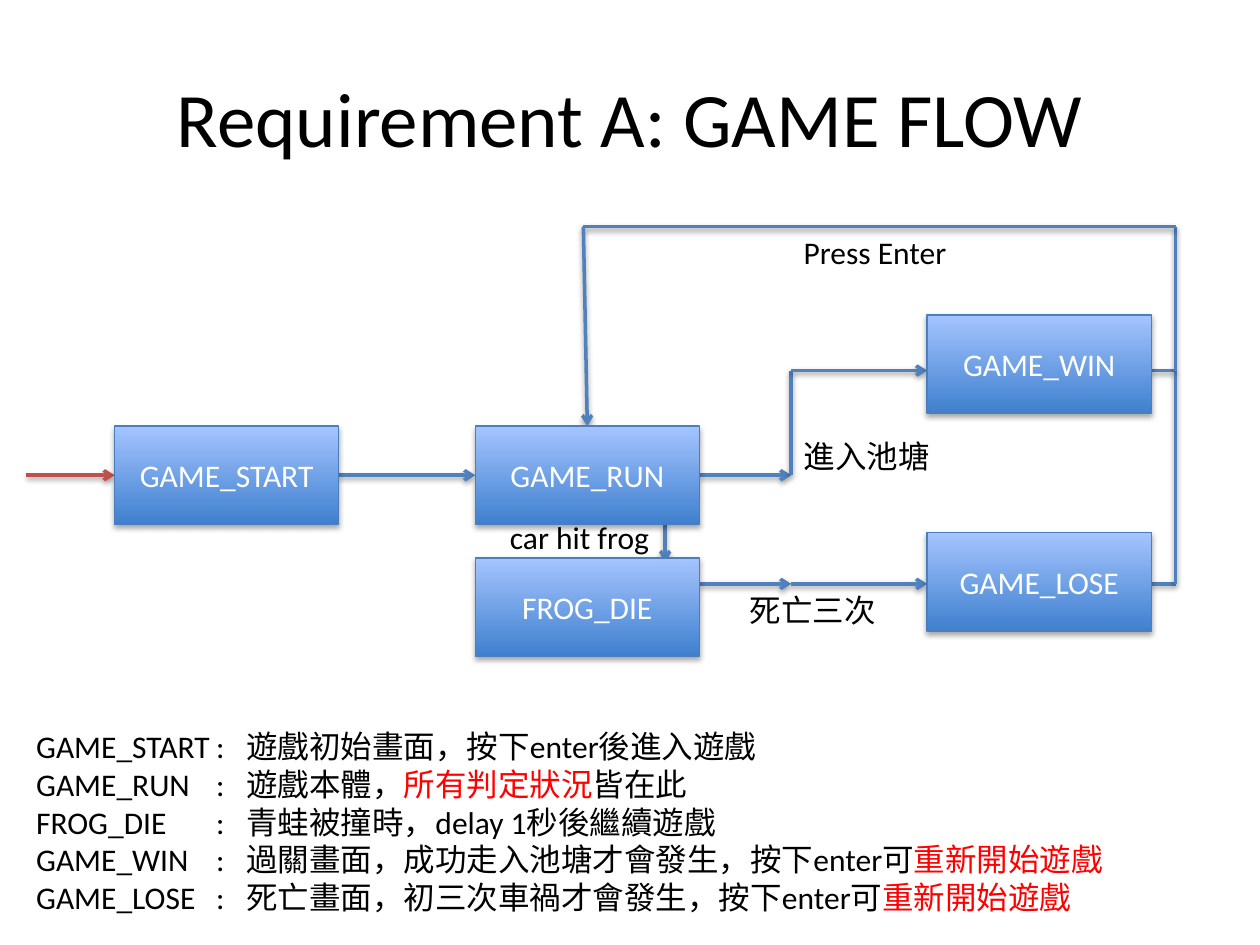
from dataclasses import dataclass
from typing import Any, NamedTuple

import lxml.etree
import pptx
import pptx.dml.color
import pptx.enum.shapes
import pptx.enum.text
import pptx.oxml.ns
import pptx.util

Cm = pptx.util.Cm
Pt = pptx.util.Pt
RGB = pptx.dml.color.RGBColor.from_string
qn = pptx.oxml.ns.qn
ALIGN = pptx.enum.text.PP_ALIGN
ANCHOR = pptx.enum.text.MSO_ANCHOR


@dataclass(frozen=True)
class Theme:
    font: str = "Calibri"
    title_size: float = 44
    body_size: float = 18
    flow_width: float = 2
    border_width: float = 0.75
    text: str = "000000"
    emphasis: str = "FF0000"
    state_text: str = "FFFFFF"
    state_bottom: str = "3F80CE"
    state_top: str = "A4C4FF"
    state_border: str = "4B7EBC"
    flow: str = "4F81BD"
    entry: str = "C0504D"


class State(NamedTuple):
    name: str
    left: float
    top: float


class Flow(NamedTuple):
    x1: float
    y1: float
    x2: float
    y2: float
    arrow: bool = False
    color: str = Theme.flow


class Label(NamedTuple):
    text: str
    left: float
    top: float
    width: float


class Rule(NamedTuple):
    state: str
    before: str
    emphasis: str = ""
    after: str = ""


THEME = Theme()
STATE_W, STATE_H = 4.52, 1.98
START_X, RUN_X, END_X = 2.31, 9.58, 18.69
RUN_Y, WIN_Y, LOSE_Y, DIE_Y = 8.59, 6.35, 10.74, 11.25
RUN_MID, WIN_MID, LOSE_MID = 9.58, 7.47, 11.77
RUN_RIGHT, END_RIGHT = RUN_X + STATE_W, END_X + STATE_W
BRANCH_X, RETURN_X, RETURN_Y, RESTART_X = 15.95, 23.7, 4.57, 11.76
HIT_X = 13.41

STATES = [
    State("GAME_START", START_X, RUN_Y),
    State("GAME_RUN", RUN_X, RUN_Y),
    State("GAME_WIN", END_X, WIN_Y),
    State("GAME_LOSE", END_X, LOSE_Y),
    State("FROG_DIE", RUN_X, DIE_Y),
]
FLOWS = [
    Flow(0.53, RUN_MID, START_X, RUN_MID, True, THEME.entry),
    Flow(START_X + STATE_W, RUN_MID, RUN_X, RUN_MID, True),
    Flow(RUN_RIGHT, RUN_MID, BRANCH_X, RUN_MID, True),
    Flow(BRANCH_X, WIN_MID, BRANCH_X, RUN_MID),
    Flow(BRANCH_X, WIN_MID, END_X, WIN_MID, True),
    Flow(HIT_X, RUN_Y + STATE_H, HIT_X, 11.33, True),
    Flow(RUN_RIGHT, LOSE_MID, BRANCH_X, LOSE_MID, True),
    Flow(BRANCH_X, LOSE_MID, END_X, LOSE_MID, True),
    Flow(RETURN_X, WIN_MID, END_RIGHT, WIN_MID),
    Flow(RETURN_X, LOSE_MID, END_RIGHT, LOSE_MID),
    Flow(RETURN_X, WIN_MID, RETURN_X, LOSE_MID),
    Flow(RETURN_X, RETURN_Y, RETURN_X, WIN_MID),
    Flow(RESTART_X, RETURN_Y, RETURN_X, RETURN_Y),
    Flow(RESTART_X, RETURN_Y, 11.84, RUN_Y, True),
]
LABELS = [
    Label("進入池塘", BRANCH_X, 8.69, 3.07),
    Label("死亡三次", 14.86, 11.79, 3.07),
    Label("Press Enter", BRANCH_X, RETURN_Y, 3.43),
    Label("car hit frog", 10.03, 10.31, 3.35),
]
RULES = [
    Rule("GAME_START", "遊戲初始畫面，按下enter後進入遊戲"),
    Rule("GAME_RUN", "遊戲本體，", "所有判定狀況", "皆在此"),
    Rule("FROG_DIE", "青蛙被撞時，delay 1秒後繼續遊戲"),
    Rule("GAME_WIN", "過關畫面，成功走入池塘才會發生，按下enter可", "重新開始遊戲"),
    Rule("GAME_LOSE", "死亡畫面，初三次車禍才會發生，按下enter可", "重新開始遊戲"),
]
RULE_TABS = (3.63, 4.24)


def apply(target: Any, values: dict[str, Any]) -> None:
    for key, value in values.items():
        setattr(target, key, value)


def add_run(paragraph: Any, text: str, color: str, size: float = THEME.body_size) -> None:
    run = paragraph.add_run()
    run.text = text
    apply(run.font, {"name": THEME.font, "size": Pt(size)})
    run.font.color.rgb = RGB(color)


def add_frame(slide: Any, left: float, top: float, width: float, height: float, **values: Any) -> Any:
    frame = slide.shapes.add_textbox(Cm(left), Cm(top), Cm(width), Cm(height)).text_frame
    apply(frame, values)
    return frame


def add_shadow(effects: Any, distance: int, opacity: int) -> None:
    shadow = lxml.etree.SubElement(effects, qn("a:outerShdw"), {
        "blurRad": "40000", "dist": str(distance), "dir": "5400000", "rotWithShape": "0"})
    color = lxml.etree.SubElement(shadow, qn("a:srgbClr"), val="000000")
    lxml.etree.SubElement(color, qn("a:alpha"), val=str(opacity * 1000))


def draw_state(slide: Any, state: State) -> None:
    box = slide.shapes.add_shape(
        pptx.enum.shapes.MSO_SHAPE.RECTANGLE,
        Cm(state.left), Cm(state.top), Cm(STATE_W), Cm(STATE_H))
    box.fill.gradient()
    box.fill.gradient_angle = 90
    for stop, color, position in zip(
            box.fill.gradient_stops, (THEME.state_bottom, THEME.state_top), (0, 1)):
        stop.color.rgb = RGB(color)
        stop.position = position
    box.line.color.rgb = RGB(THEME.state_border)
    box.line.width = Pt(THEME.border_width)
    box.shadow.inherit = False
    add_shadow(box._element.spPr.find(qn("a:effectLst")), 23000, 35)
    box.text_frame.vertical_anchor = ANCHOR.MIDDLE
    paragraph = box.text_frame.paragraphs[0]
    paragraph.alignment = ALIGN.CENTER
    add_run(paragraph, state.name, THEME.state_text)


def draw_flow(slide: Any, flow: Flow) -> None:
    link = slide.shapes.add_connector(
        pptx.enum.shapes.MSO_CONNECTOR.STRAIGHT,
        Cm(flow.x1), Cm(flow.y1), Cm(flow.x2), Cm(flow.y2))
    link.line.color.rgb = RGB(flow.color)
    link.line.width = Pt(THEME.flow_width)
    properties = link._element.spPr
    if flow.arrow:
        lxml.etree.SubElement(properties.find(qn("a:ln")), qn("a:tailEnd"), type="arrow")
    add_shadow(lxml.etree.SubElement(properties, qn("a:effectLst")), 20000, 38)


def draw_label(slide: Any, label: Label) -> None:
    frame = add_frame(slide, label.left, label.top, label.width, 1.02, word_wrap=False)
    add_run(frame.paragraphs[0], label.text, THEME.text)


def draw_rules(slide: Any, rules: list[Rule]) -> None:
    frame = add_frame(slide, 0.48, 14.53, 24.28, 4.11, word_wrap=True)
    for index, rule in enumerate(rules):
        paragraph = frame.add_paragraph() if index else frame.paragraphs[0]
        tabs = lxml.etree.SubElement(paragraph._p.get_or_add_pPr(), qn("a:tabLst"))
        for position in RULE_TABS:
            lxml.etree.SubElement(tabs, qn("a:tab"), pos=str(Cm(position)), algn="l")
        add_run(paragraph, f"{rule.state}\t:\t{rule.before}", THEME.text)
        for text, color in ((rule.emphasis, THEME.emphasis), (rule.after, THEME.text)):
            if text:
                add_run(paragraph, text, color)


def main() -> None:
    deck = pptx.Presentation()
    apply(deck, {"slide_width": Cm(25.4), "slide_height": Cm(19.05)})
    slide = deck.slides.add_slide(deck.slide_layouts[6])
    heading = add_frame(slide, 1.27, 0.76, 22.86, 3.18,
                        word_wrap=True, vertical_anchor=ANCHOR.MIDDLE)
    heading.paragraphs[0].alignment = ALIGN.CENTER
    add_run(heading.paragraphs[0], "Requirement A: GAME FLOW", THEME.text, THEME.title_size)
    for draw, items in ((draw_flow, FLOWS), (draw_state, STATES), (draw_label, LABELS)):
        for item in items:
            draw(slide, item)
    draw_rules(slide, RULES)
    deck.save("out.pptx")


main()
